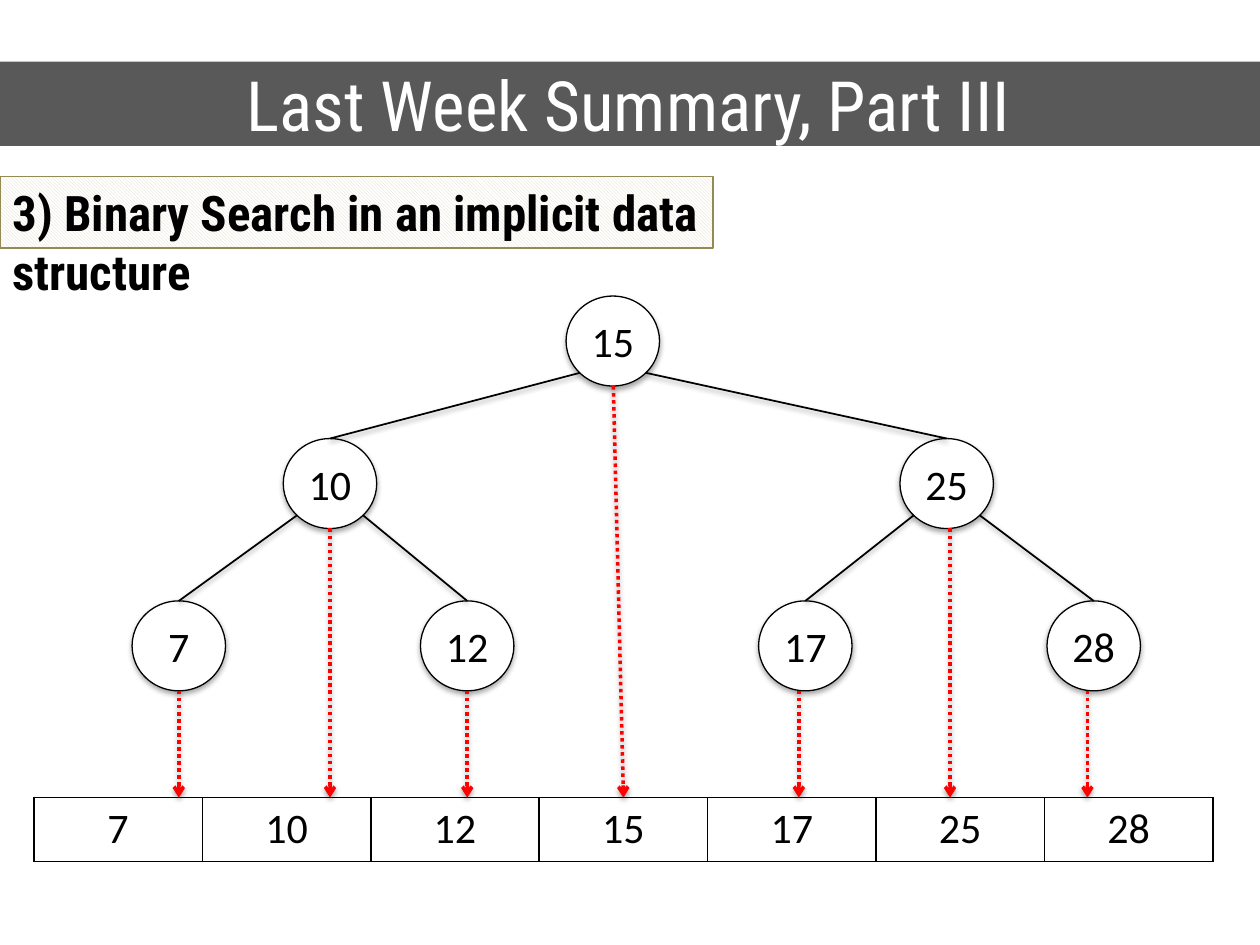
from math import sqrt

from lxml import etree
from pptx import Presentation
from pptx.dml.color import RGBColor
from pptx.enum.dml import MSO_LINE, MSO_PATTERN
from pptx.enum.shapes import MSO_CONNECTOR, MSO_SHAPE
from pptx.enum.text import MSO_ANCHOR, PP_ALIGN
from pptx.oxml import parse_xml
from pptx.oxml.ns import nsdecls, qn
from pptx.util import Pt

RECT, OVAL = MSO_SHAPE.RECTANGLE, MSO_SHAPE.OVAL
STRAIGHT = MSO_CONNECTOR.STRAIGHT
LEFT, CENTER = PP_ALIGN.LEFT, PP_ALIGN.CENTER
TOP, MIDDLE = MSO_ANCHOR.TOP, MSO_ANCHOR.MIDDLE
DOTS = MSO_LINE.ROUND_DOT
HATCH = MSO_PATTERN.LIGHT_DOWNWARD_DIAGONAL

COLORS = {"black": "000000", "white": "FFFFFF", "band": "595959",
          "hatch": "DDD9C3", "olive": "948A54", "red": "FF0000"}

TITLE = "Last Week Summary, Part III"
HEADING = "3) Binary Search in an implicit data structure"
TITLE_FONT = {"name": "Roboto Condensed", "size": Pt(39.6)}
HEADING_FONT = {"name": "Roboto Condensed", "size": Pt(28), "bold": True}
NUMBER_FONT = {"name": "Calibri", "size": Pt(24)}

LEVEL_TOPS = [169.2, 250.6, 343.4]
NODES = {15: (350.2, 0), 10: (188.6, 1), 25: (541, 1), 7: (102.2, 2),
         12: (267, 2), 17: (460.2, 2), 28: (625, 2)}
CHILDREN = {15: (10, 25), 10: (7, 12), 25: (17, 28)}
NODE_W, NODE_H = 53.4, 51.4
ARROWS = {7: (102.2, 102.2), 10: (188.6, 188.6), 12: (267, 267),
          15: (350.5, 356.3), 17: (456.5, 456.5), 25: (542.9, 542.9),
          28: (621.4, 621.4)}
ARRAY_LEFT, ARRAY_TOP, CELL_W, CELL_H = 19.4, 455.8, 96.25, 36.4


def rgb(name):
    return RGBColor.from_string(COLORS[name])


def write(tf, text, font, color="black", align=CENTER):
    p = tf.paragraphs[0]
    p.alignment = align
    r = p.add_run()
    r.text = text
    for key, value in font.items():
        setattr(r.font, key, value)
    r.font.color.rgb = rgb(color)


def add_box(kind, x, y, w, h, fill, line=None):
    s = shapes.add_shape(kind, Pt(x), Pt(y), Pt(w), Pt(h))
    s.shadow.inherit = False
    s.fill.solid()
    s.fill.fore_color.rgb = rgb(fill)
    if line:
        s.line.color.rgb = rgb(line)
        s.line.width = Pt(0.75)
    else:
        s.line.fill.background()
    s.text_frame.word_wrap = True
    return s


def add_shadow(s, distance, opacity):
    sp_pr = s._element.spPr
    for old in sp_pr.findall(qn("a:effectLst")):
        sp_pr.remove(old)
    sp_pr.append(parse_xml(
        f'<a:effectLst {nsdecls("a")}><a:outerShdw blurRad="{Pt(3.1)}" '
        f'dist="{Pt(distance)}" dir="5400000" rotWithShape="0">'
        f'<a:srgbClr val="{COLORS["black"]}"><a:alpha val="{opacity * 1000}"/>'
        '</a:srgbClr></a:outerShdw></a:effectLst>'))


def add_line(x1, y1, x2, y2, color, width, arrow=False):
    s = shapes.add_connector(STRAIGHT, Pt(x1), Pt(y1), Pt(x2), Pt(y2))
    s.line.color.rgb = rgb(color)
    s.line.width = Pt(width)
    if arrow:
        s.line.dash_style = DOTS
        etree.SubElement(s.line._get_or_add_ln(), qn("a:tailEnd"), type="arrow")
    add_shadow(s, 1.6, 38)


def add_borders(cell):
    tc_pr = cell._tc.get_or_add_tcPr()
    for i, side in enumerate(("lnL", "lnR", "lnT", "lnB")):
        tc_pr.insert(i, parse_xml(
            f'<a:{side} {nsdecls("a")} w="{Pt(1)}"><a:solidFill>'
            f'<a:srgbClr val="{COLORS["black"]}"/></a:solidFill></a:{side}>'))


prs = Presentation()
prs.slide_width, prs.slide_height = Pt(720), Pt(540)
shapes = prs.slides.add_slide(prs.slide_layouts[6]).shapes

band = add_box(RECT, -1.4, 35.3, 721.4, 48.2, "band")
band.text_frame.vertical_anchor = MIDDLE
write(band.text_frame, TITLE, TITLE_FONT, "white")

heading = add_box(RECT, 0, 100.8, 407.5, 41, "white", "olive")
heading.fill.patterned()
heading.fill.pattern = HATCH
heading.fill.fore_color.rgb = rgb("hatch")
heading.fill.back_color.rgb = rgb("white")
heading.text_frame.vertical_anchor = TOP
write(heading.text_frame, HEADING, HEADING_FONT, align=LEFT)

for value, (x, level) in NODES.items():
    node = add_box(OVAL, x - NODE_W / 2, LEVEL_TOPS[level], NODE_W, NODE_H,
                   "white", "black")
    add_shadow(node, 1.8, 35)
    tf = node.text_frame
    tf.vertical_anchor = MIDDLE
    tf.margin_left = tf.margin_right = Pt(2.9)
    write(tf, str(value), NUMBER_FONT)

for parent, children in CHILDREN.items():
    x, level = NODES[parent]
    y = LEVEL_TOPS[level] + NODE_H / 2 * (1 + 1 / sqrt(2))
    for child, side in zip(children, (-1, 1)):
        child_x, child_level = NODES[child]
        add_line(child_x, LEVEL_TOPS[child_level],
                 x + side * NODE_W / 2 / sqrt(2), y, "black", 1)

values = sorted(NODES)
frame = shapes.add_table(1, len(values), Pt(ARRAY_LEFT), Pt(ARRAY_TOP),
                         Pt(CELL_W * len(values)), Pt(CELL_H))
table = frame.table
table.first_row = table.horz_banding = False
for i, value in enumerate(values):
    table.columns[i].width = Pt(CELL_W)
    cell = table.cell(0, i)
    cell.fill.background()
    add_borders(cell)
    write(cell.text_frame, str(value), NUMBER_FONT)

for value, (x1, x2) in ARROWS.items():
    bottom = LEVEL_TOPS[NODES[value][1]] + NODE_H
    add_line(x1, bottom, x2, ARRAY_TOP, "red", 2, arrow=True)

prs.save("out.pptx")
